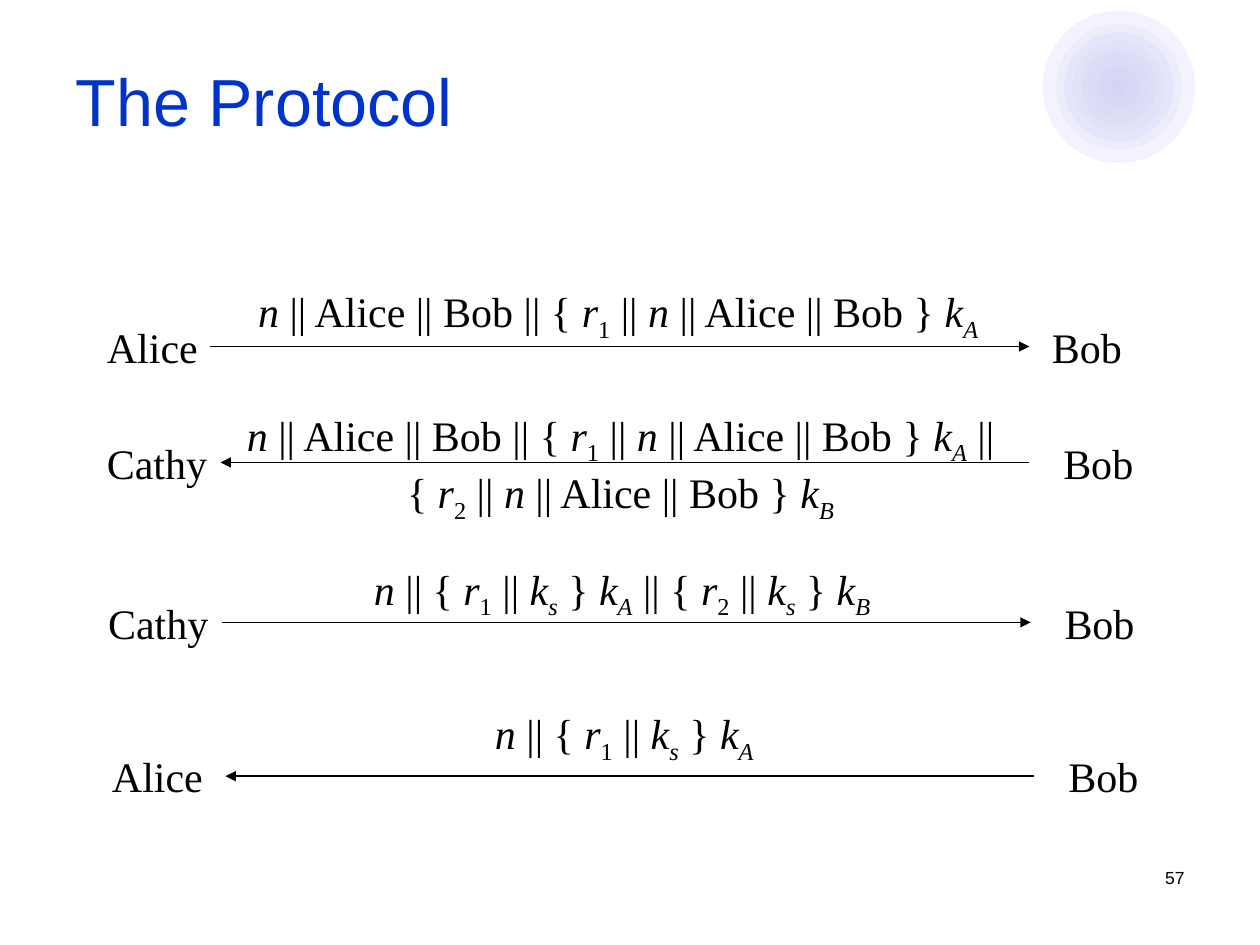
from lxml import etree
from pptx import Presentation
from pptx.dml.color import RGBColor
from pptx.enum.shapes import MSO_CONNECTOR, MSO_SHAPE
from pptx.enum.text import MSO_ANCHOR, MSO_AUTO_SIZE, PP_ALIGN
from pptx.oxml.ns import qn
from pptx.util import Inches, Pt

LEFT, CENTER, RIGHT = PP_ALIGN.LEFT, PP_ALIGN.CENTER, PP_ALIGN.RIGHT
MIDDLE = MSO_ANCHOR.MIDDLE
FIT, FIXED = MSO_AUTO_SIZE.SHAPE_TO_FIT_TEXT, MSO_AUTO_SIZE.NONE
OVAL, STRAIGHT = MSO_SHAPE.OVAL, MSO_CONNECTOR.STRAIGHT
BLUE = RGBColor(0x00, 0x33, 0xCC)
BLACK = RGBColor(0x00, 0x00, 0x00)
LILAC = RGBColor(0xCC, 0xCC, 0xFF)
GREY = RGBColor(0xD9, 0xD8, 0xEC)

TITLE = "The Protocol"
NUMBER = "57"
HEAD = {"size": Pt(38), "name": "Arial", "color": BLUE}
BODY = {"size": Pt(24), "name": "Times New Roman", "color": BLACK}
FOOT = {"size": Pt(10), "name": "Arial", "color": BLACK}

RINGS = [1.21, 1, 0.87, 0.73, 0.6, 0.49, 0.33, 0.23, 0.14]
HUB = (8.88, 0.69)
OPACITY = 22

# A single letter is a variable; what follows "_" is its subscript.
FIRST = "n || Alice || Bob || { r_1 || n || Alice || Bob } k_A"
STEPS = [
    {"names": ("Alice", "Bob"), "lefts": (0.75, 8.25),
     "arrow": (1.67, 8.17, 2.75), "end": "tailEnd",
     "lines": [FIRST], "box": (1.95, 2.22, 5.95, 0.56)},
    {"names": ("Cathy", "Bob"), "lefts": (0.75, 8.34),
     "arrow": (1.75, 8.17, 3.67), "end": "headEnd",
     "lines": [FIRST + " ||", "{ r_2 || n || Alice || Bob } k_B"],
     "box": (1.82, 3.2, 6.21, 1.01)},
    {"names": ("Cathy", "Bob"), "lefts": (0.76, 8.35),
     "arrow": (1.76, 8.18, 4.94), "end": "tailEnd",
     "lines": ["n || { r_1 || k_s } k_A || { r_2 || k_s } k_B"],
     "box": (2.87, 4.42, 4.14, 0.56)},
    {"names": ("Alice", "Bob"), "lefts": (0.79, 8.38),
     "arrow": (1.79, 8.21, 6.16), "end": "headEnd",
     "lines": ["n || { r_1 || k_s } k_A"], "box": (3.83, 5.57, 2.25, 0.56)},
]
WIDTHS = {"Alice": 0.95, "Cathy": 1.03, "Bob": 0.79}
NAME_H = 0.5


def style(font, form):
    for key, value in form.items():
        if key == "color":
            font.color.rgb = value
        else:
            setattr(font, key, value)


def split(line):
    """Give (text, italic, subscript) for each run of a formula."""
    runs, plain = [], ""
    for word in line.split():
        base, _, sub = word.partition("_")
        if len(base) == 1 and base.isalpha():
            if plain:
                runs.append((plain, False, False))
            runs.append((base, True, False))
            if sub:
                runs.append((sub, sub.isalpha(), True))
            plain = " "
        else:
            plain += word + " "
    if plain.strip():
        runs.append((plain.rstrip(), False, False))
    return runs


def add_text(slide, box, lines, form, align=LEFT, wrap=False):
    shape = slide.shapes.add_textbox(*map(Inches, box))
    frame = shape.text_frame
    frame.word_wrap = wrap
    frame.auto_size = FIXED if wrap else FIT
    for i, line in enumerate(lines):
        para = frame.add_paragraph() if i else frame.paragraphs[0]
        para.alignment = align
        for text, italic, sub in split(line):
            run = para.add_run()
            run.text = text
            style(run.font, form)
            run.font.italic = italic
            if sub:
                run.font._element.set("baseline", "-25000")


def add_rings(slide):
    for i, size in enumerate(RINGS):
        left, top = (mid - size / 2 for mid in HUB)
        ring = slide.shapes.add_shape(
            OVAL, *map(Inches, (left, top, size, size)))
        ring.shadow.inherit = False
        ring.line.fill.background()
        ring.fill.solid()
        ring.fill.fore_color.rgb = GREY if i % 2 else LILAC
        tint = ring.fill._xPr.find(".//" + qn("a:srgbClr"))
        etree.SubElement(tint, qn("a:alpha"), val=str(OPACITY * 1000))


def add_arrow(slide, start, stop, y, end):
    arrow = slide.shapes.add_connector(
        STRAIGHT, *map(Inches, (start, y, stop, y)))
    arrow.line.color.rgb = BLACK
    arrow.line.width = Pt(0.75)
    etree.SubElement(arrow.line._get_or_add_ln(), qn("a:" + end),
                     type="triangle")
    etree.SubElement(arrow._element.spPr, qn("a:effectLst"))


def add_title(slide):
    title = slide.shapes.title
    title.left, title.top, title.width, title.height = map(
        Inches, (0.5, 0.17, 9, 1.25))
    frame = title.text_frame
    frame.text = TITLE
    frame.vertical_anchor = MIDDLE
    frame.auto_size = FIXED
    frame.paragraphs[0].alignment = LEFT
    style(frame.paragraphs[0].runs[0].font, HEAD)


def main():
    deck = Presentation()
    deck.slide_width, deck.slide_height = Inches(10), Inches(7.5)
    slide = deck.slides.add_slide(deck.slide_layouts[5])
    add_rings(slide)
    add_title(slide)
    for step in STEPS:
        start, stop, y = step["arrow"]
        for name, left in zip(step["names"], step["lefts"]):
            box = (left, y - NAME_H / 2, WIDTHS[name], NAME_H)
            add_text(slide, box, [name], BODY)
        add_arrow(slide, start, stop, y, step["end"])
        align = CENTER if len(step["lines"]) > 1 else LEFT
        add_text(slide, step["box"], step["lines"], BODY, align)
    add_text(slide, (7.17, 6.83, 2.33, 0.5), [NUMBER], FOOT, RIGHT, True)
    deck.save("out.pptx")


if __name__ == "__main__":
    main()
